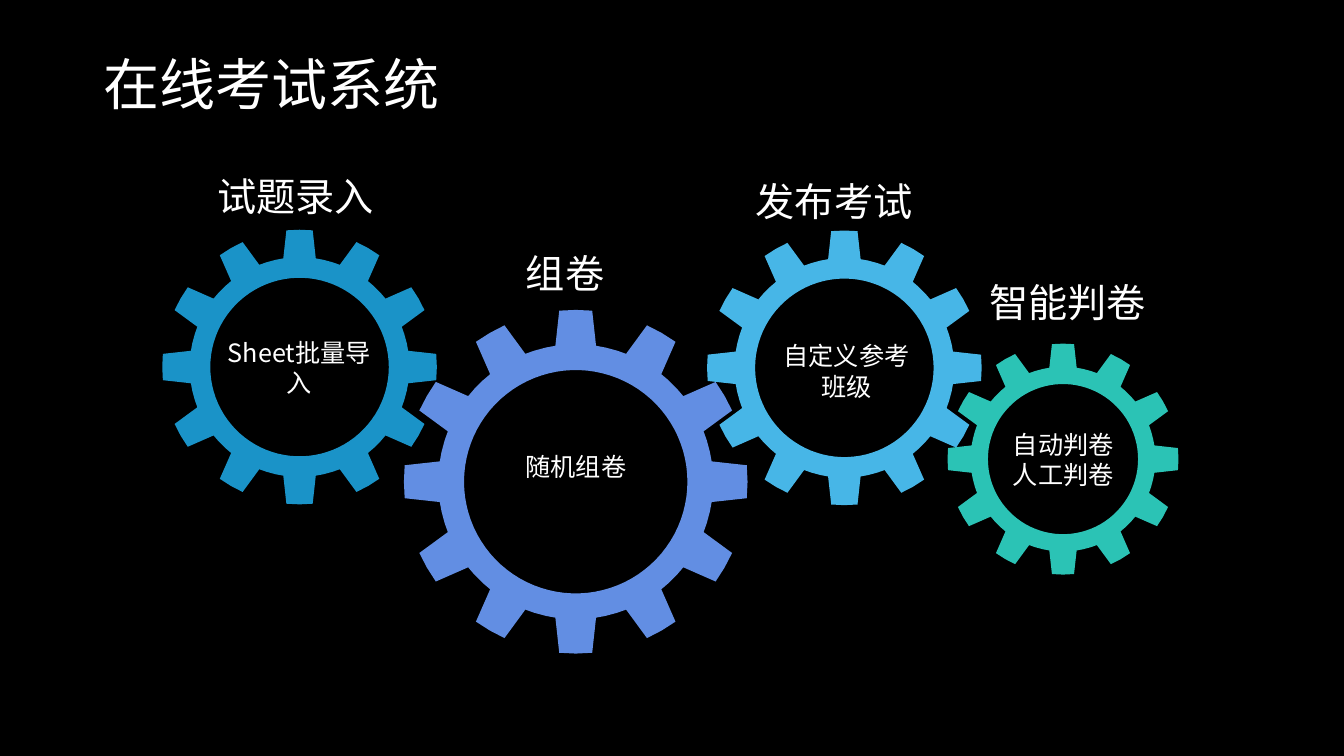
from math import cos, radians, sin

from lxml.etree import SubElement
from pptx import Presentation
from pptx.dml.color import RGBColor
from pptx.enum.text import MSO_ANCHOR, MSO_AUTO_SIZE, PP_ALIGN
from pptx.oxml.ns import qn
from pptx.util import Cm, Pt

FONT = "Noto Sans CJK SC"
COLOURS = {
    "background": "000000",
    "text": "FFFFFF",
    "grade": "2BC3B5",
    "enter": "1A93C8",
    "compose": "628EE3",
    "publish": "47B6E7",
}
TOOTH_COUNT = 12
TOOTH_PROFILE = [(-5.5, 1), (0, 1), (5.5, 1), (8.5, 0.8), (12.5, 0.8), (17.5, 0.8), (21.5, 0.8)]
HOLE_RATIO = 0.65
HEADING_SIZE = (4.9, 1.45)

# key, centre, radius, heading, heading corner, lines, text box
STEPS = [
    ("grade", (26.79, 11.57), 2.91, "智能判卷", (24.46, 6.88),
     ["自动判卷", "人工判卷"], (24.71, 10.69, 4.17, 1.8)),
    ("enter", (7.55, 9.25), 3.46, "试题录入", (5, 4.22),
     ["Sheet批量导入"], (5.46, 8.38, 4.17, 1.8)),
    ("compose", (14.51, 12.14), 4.33, "组卷", (11.79, 6.17),
     ["随机组卷"], (12.19, 11.25, 4.65, 1.02)),
    ("publish", (21.28, 9.27), 3.46, "发布考试", (18.57, 4.34),
     ["自定义参考班级"], (19.25, 8.46, 4.17, 1.8)),
]


def colour(key):
    """Return the named colour."""
    return RGBColor.from_string(COLOURS[key])


def polar_point(centre, radius, degrees):
    """Return the slide point at an angle and distance from a centre."""
    angle = radians(degrees)
    return Cm(centre[0] + radius * cos(angle)), Cm(centre[1] + radius * sin(angle))


def add_gear(slide, centre, radius, fill):
    """Draw a toothed ring with a round hole."""
    rim = [
        polar_point(centre, radius * ratio, 360 / TOOTH_COUNT * tooth + angle)
        for tooth in range(TOOTH_COUNT)
        for angle, ratio in TOOTH_PROFILE
    ]
    hole = [polar_point(centre, radius * HOLE_RATIO, -angle) for angle in range(0, 360, 4)]
    builder = slide.shapes.build_freeform(*rim[0])
    builder.add_line_segments(rim[1:], close=True)
    builder.move_to(*hole[0])
    builder.add_line_segments(hole[1:], close=True)
    shape = builder.convert_to_shape()
    shape.shadow.inherit = False
    shape.fill.solid()
    shape.fill.fore_color.rgb = colour(fill)
    shape.line.fill.background()


def write_text(shape, lines, size=18, align=PP_ALIGN.CENTER, wrap=True):
    """Write one formatted paragraph for each line."""
    frame = shape.text_frame
    frame.word_wrap = wrap
    frame.auto_size = MSO_AUTO_SIZE.SHAPE_TO_FIT_TEXT
    frame.vertical_anchor = MSO_ANCHOR.TOP
    frame.text = "\n".join(lines)
    for paragraph in frame.paragraphs:
        paragraph.alignment = align
        for run in paragraph.runs:
            run.font.size = Pt(size)
            run.font.color.rgb = colour("text")
            run.font.name = FONT
            SubElement(run._r.get_or_add_rPr(), qn("a:ea"), typeface=FONT)


def add_text(slide, box, lines, **text_format):
    """Add a text box at a place given in centimetres."""
    shape = slide.shapes.add_textbox(*map(Cm, box))
    write_text(shape, lines, **text_format)


def set_title(slide, text):
    """Move and fill the title placeholder."""
    title = slide.shapes.title
    title.left, title.top, title.width, title.height = map(Cm, (2.36, 1.12, 9.07, 1.96))
    write_text(title, [text], size=40, align=PP_ALIGN.LEFT, wrap=False)


def main():
    """Build the slide of the exam system's four steps."""
    presentation = Presentation()
    presentation.slide_width, presentation.slide_height = Cm(33.87), Cm(19.05)
    slide = presentation.slides.add_slide(presentation.slide_layouts[5])
    slide.background.fill.solid()
    slide.background.fill.fore_color.rgb = colour("background")
    set_title(slide, "在线考试系统")
    for key, centre, radius, heading, corner, lines, box in STEPS:
        add_gear(slide, centre, radius, key)
        add_text(slide, box, lines)
        add_text(slide, corner + HEADING_SIZE, [heading], size=28)
    presentation.save("out.pptx")


if __name__ == "__main__":
    main()
